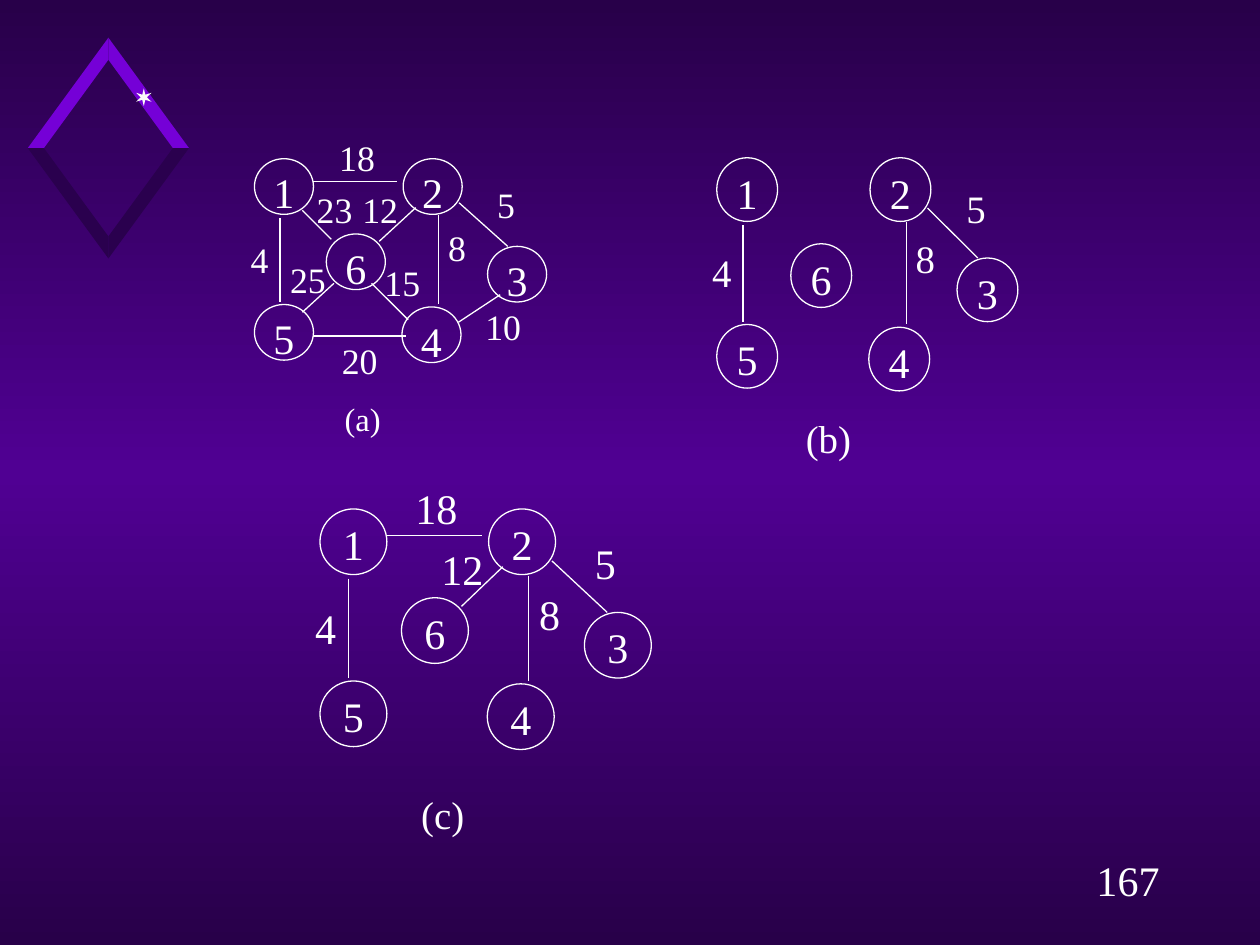
import copy
import math
import lxml.etree
import pptx
import pptx.dml.color
import pptx.enum.shapes
import pptx.enum.text
import pptx.oxml.ns
import pptx.util

Cm = pptx.util.Cm
Pt = pptx.util.Pt
WHITE = "FFFFFF"

# All graph places are percentages of the graph's box.
NODE_W, NODE_H = 20.2, 27.3
NODES = {  # left and top of each circle
    "1": (0, 0), "2": (50.9, 0), "5": (0, 71.5),
    "6": (24.6, 36.9), "4": (50.5, 72.7), "3": (79.8, 43),
}
EDGES = {  # weight: (line from x, y, to x, y), (label left, top)
    "25": ((27.2, 61.1, 16.4, 75.3), (8.6, 48.8)),
    "20": ((20, 87, 51.7, 87), (26.3, 88.3)),
    "4": ((8.7, 29, 8.7, 70.3), (-8, 39)),
    "15": ((40.1, 61.1, 52.6, 79), (40.9, 50)),
    "10": ((69.8, 80.2, 84.1, 66.7), (75.4, 71.6)),
    "8": ((63, 27.7, 63, 71.5), (59.6, 33)),
    "12": ((42.7, 40.5, 55.2, 24), (33.3, 14.2)),
    "23": ((16.4, 25.3, 26.3, 39.5), (17.7, 14.2)),
    "5": ((70, 21.6, 86.7, 43), (76.4, 11.7)),
    "18": ((20, 11.1, 48.8, 11.1), (25.4, -11)),
}


def rgb(code):
    return pptx.dml.color.RGBColor.from_string(code)


def write(shape, text, size, pad=(0, 0)):
    """Put one centred line at the top of a shape; pad is (side, end) in cm."""
    frame = shape.text_frame
    frame.word_wrap = True
    frame.vertical_anchor = pptx.enum.text.MSO_ANCHOR.TOP
    frame.margin_left = frame.margin_right = Cm(pad[0])
    frame.margin_top = frame.margin_bottom = Cm(pad[1])
    line = frame.paragraphs[0]
    line.alignment = pptx.enum.text.PP_ALIGN.CENTER
    run = line.add_run()
    run.text = text
    run.font.name = "Times New Roman"
    run.font.size = Pt(size)
    run.font.color.rgb = rgb(WHITE)


def outline(shape):
    shape.line.color.rgb = rgb(WHITE)
    shape.line.width = Pt(0.75)


def paint(slide):
    """Fill the background with a vertical three-stop gradient."""
    fill = slide.background.fill
    fill.gradient()
    fill.gradient_angle = 270
    stops = slide.element.find(".//" + pptx.oxml.ns.qn("a:gsLst"))
    stops.insert(1, copy.deepcopy(stops[0]))
    ramp = ((0, "280049"), (0.5, "500093"), (1, "280049"))
    for stop, (place, code) in zip(fill.gradient_stops, ramp):
        stop.position = place
        stop.color.rgb = rgb(code)


def blot(shapes, points, code):
    """Add a closed, filled outline through points in cm."""
    path = [(Cm(x), Cm(y)) for x, y in points]
    pen = shapes.build_freeform(*path[0])
    pen.add_line_segments(path[1:], close=True)
    shape = pen.convert_to_shape()
    shape.shadow.inherit = False
    shape.fill.solid()
    shape.fill.fore_color.rgb = rgb(code)
    shape.line.fill.background()


def badge(slide, left, top, wide, high):
    """Draw the hollow diamond, lit above and dark below, with its star."""
    shapes = slide.shapes.add_group_shape().shapes
    half, rise = wide / 2, high / 2
    mid, base = left + half, top + rise
    for down, code in ((-1, "7500D7"), (1, "2A004E")):
        for side in (1, -1):
            corners = ((0, 0.8), (0, 1), (1, 0), (0.8, 0))
            blot(shapes, [(mid + side * half * x, base + down * rise * y)
                          for x, y in corners], code)
    star = []
    for step in range(12):
        reach = 0.06 if step % 2 else 0.18
        turn = math.radians(30 * step - 90)
        star.append((left + 0.72 * wide + reach * math.cos(turn),
                     top + 0.27 * high + reach * math.sin(turn)))
    blot(shapes, star, "F9F9F9")


def graph(slide, box, weights, size, note, note_size, drop):
    """Draw the six nodes and the edges named by weight; drop places the note."""
    left, top, wide, high = box
    shapes = slide.shapes.add_group_shape().shapes

    def spot(x, y):
        return Cm(left + wide * x / 100), Cm(top + high * y / 100)

    def span(x, y):
        return Cm(wide * x / 100), Cm(high * y / 100)

    def label(text, place, room, points):
        write(shapes.add_textbox(*spot(*place), *span(*room)), text, points)

    for weight in weights:
        label(weight, EDGES[weight][1], (19.4, 21.6), size)
    for name, place in NODES.items():
        node = shapes.add_shape(pptx.enum.shapes.MSO_SHAPE.OVAL,
                                *spot(*place), *span(NODE_W, NODE_H))
        node.shadow.inherit = False
        node.fill.background()
        outline(node)
        write(node, name, 24)
    for weight in weights:
        ends = EDGES[weight][0]
        edge = shapes.add_connector(pptx.enum.shapes.MSO_CONNECTOR.STRAIGHT,
                                    *spot(*ends[:2]), *spot(*ends[2:]))
        outline(edge)
        lxml.etree.SubElement(edge._element.spPr,
                              pptx.oxml.ns.qn("a:effectLst"))
    label(note, (25.2, drop), (23.7, 20.2), note_size)


def folio(slide, left, top, wide, high):
    box = slide.shapes.add_textbox(Cm(left), Cm(top), Cm(wide), Cm(high))
    write(box, "167", 24, (0.25, 0.13))


def main():
    deck = pptx.Presentation()
    deck.slide_width, deck.slide_height = Cm(25.4), Cm(19.05)
    slide = deck.slides.add_slide(deck.slide_layouts[6])
    paint(slide)
    badge(slide, 0.56, 0.76, 3.25, 4.45)
    folio(slide, 21.79, 17.09, 1.9, 1.27)
    graph(slide, (5.13, 3.2, 5.89, 4.11), list(EDGES), 20.4, "(a)", 18.6, 118)
    graph(slide, (14.45, 3.18, 6.07, 4.7), ["4", "8", "5"],
          22.2, "(b)", 22.2, 110)
    graph(slide, (6.45, 10.26, 6.68, 4.85), ["4", "8", "12", "5", "18"],
          24, "(c)", 22.2, 117.3)
    deck.save("out.pptx")


if __name__ == "__main__":
    main()
